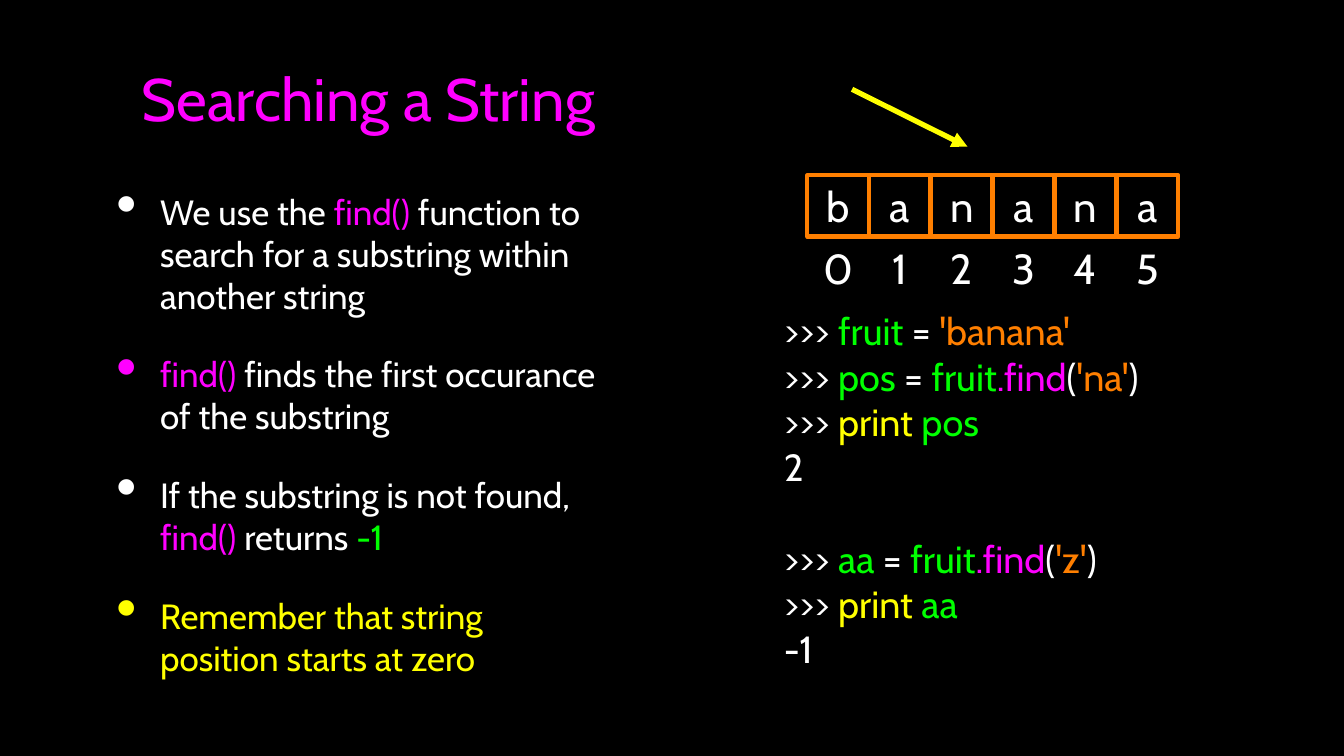
"""Builds a slide on searching a string with find()."""
from lxml.etree import SubElement
from pptx import Presentation
from pptx.dml.color import RGBColor
from pptx.enum.shapes import MSO_CONNECTOR as Connector, MSO_SHAPE as Shape
from pptx.enum.text import MSO_ANCHOR as Anchor, PP_ALIGN as Align
from pptx.oxml.ns import qn
from pptx.util import Cm, Pt

FONT = "Cabin"
COLORS = {
    "black": "000000",
    "white": "FFFFFF",
    "pink": "FF00FF",
    "green": "00FF00",
    "orange": "FF7F00",
    "yellow": "FFFF00",
}
WORD = "banana"
CELL_LEFT, CELL_TOP, CELL_SIZE, CELL_PITCH = 27.13, 5.89, 2.06, 2.08
CODE_LINE = 43.7

BULLETS = [
    [("We use the", "white"), (" find()", "pink"),
     (" function to search for a substring within another string", "white")],
    [("find()", "pink"), (" finds the first occurance of the substring", "white")],
    [("If the substring is not found, ", "white"), ("find()", "pink"),
     (" returns ", "white"), ("-1", "green")],
    [("Remember that string position starts at zero", "yellow")],
]
PROMPT = (">>> ", "white")
FIRST_SEARCH = [
    [PROMPT, ("fruit ", "green"), ("=", "white"), (" 'banana'", "orange")],
    [PROMPT, ("pos ", "green"), ("=", "white"), (" fruit", "green"), (".find", "pink"),
     ("(", "white"), ("'na'", "orange"), (")", "white")],
    [PROMPT, ("print ", "yellow"), ("pos", "green")],
    [("2", "white")],
]
SECOND_SEARCH = [
    [PROMPT, ("aa ", "green"), ("= ", "white"), ("fruit", "green"), (".find", "pink"),
     ("(", "white"), ("'z'", "orange"), (")", "white")],
    [PROMPT, ("print ", "yellow"), ("aa", "green")],
    [("-1", "white")],
]


def color(name):
    """Return the named colour."""
    return RGBColor.from_string(COLORS[name])


def add_spans(para, spans, size):
    """Add coloured runs to a paragraph."""
    for text, name in spans:
        span = para.add_run()
        span.text = text
        span.font.name = FONT
        span.font.size = Pt(size)
        span.font.color.rgb = color(name)


def fill_frame(frame, lines, size, align=Align.LEFT, inset=0):
    """Write lines of runs into a vertically centred text frame."""
    frame.word_wrap = True
    frame.vertical_anchor = Anchor.MIDDLE
    frame.margin_left = frame.margin_right = Cm(inset)
    frame.margin_top = frame.margin_bottom = Cm(inset)
    for index, spans in enumerate(lines):
        para = frame.add_paragraph() if index else frame.paragraphs[0]
        para.alignment = align
        add_spans(para, spans, size)


def add_text(page, area, lines, size, **layout):
    """Add a text box and return its frame."""
    box = page.shapes.add_textbox(*map(Cm, area))
    fill_frame(box.text_frame, lines, size, **layout)
    return box.text_frame


def add_bullet(para, name):
    """Give a paragraph a large hanging bullet in the named colour."""
    props = para._p.get_or_add_pPr()
    props.set("marL", str(Cm(2.08)))
    props.set("indent", str(Cm(-1.47)))
    SubElement(SubElement(props, qn("a:buClr")), qn("a:srgbClr"), val=COLORS[name])
    SubElement(props, qn("a:buSzPct"), val="171000")
    SubElement(props, qn("a:buChar"), char="•")


def add_bullets(page):
    """Add the explanation as a bullet list."""
    frame = add_text(page, (3.2, 5.77, 17.12, 17.63), BULLETS, 33.3, inset=0.1)
    for index, (para, spans) in enumerate(zip(frame.paragraphs, BULLETS)):
        add_bullet(para, spans[0][1])
        if index:
            para.space_before = Pt(35)


def add_code(page):
    """Add the two interpreter sessions, one line apart."""
    frame = add_text(page, (26.34, 10.36, 14.1, 12.19), FIRST_SEARCH + SECOND_SEARCH, 36)
    frame.paragraphs[len(FIRST_SEARCH)].space_before = Pt(CODE_LINE)


def add_letter(page, index, letter):
    """Add a letter cell with its position below."""
    left = CELL_LEFT + index * CELL_PITCH
    add_text(page, (left, CELL_TOP + CELL_SIZE, CELL_SIZE, CELL_SIZE),
             [[(str(index), "white")]], 40, align=Align.CENTER)
    cell = page.shapes.add_shape(
        Shape.RECTANGLE, *map(Cm, (left, CELL_TOP, CELL_SIZE, CELL_SIZE)))
    cell.shadow.inherit = False
    cell.fill.background()
    cell.line.color.rgb = color("orange")
    cell.line.width = Pt(4)
    fill_frame(cell.text_frame, [[(letter, "white")]], 40, align=Align.CENTER)


def add_arrow(page, start, end):
    """Add a yellow arrow with its head at the end point."""
    arrow = page.shapes.add_connector(Connector.STRAIGHT, *map(Cm, start + end))
    arrow.line.color.rgb = color("yellow")
    arrow.line.width = Pt(5)
    SubElement(arrow.line._get_or_add_ln(), qn("a:tailEnd"), type="triangle")
    SubElement(arrow._element.spPr, qn("a:effectLst"))


def main():
    """Build and save the deck."""
    deck = Presentation()
    deck.slide_width, deck.slide_height = Cm(45.16), Cm(25.4)
    page = deck.slides.add_slide(deck.slide_layouts[6])
    page.background.fill.solid()
    page.background.fill.fore_color.rgb = color("black")
    add_text(page, (3.81, 0.66, 17.12, 5.26), [[("Searching a String", "pink")]], 57,
             align=Align.CENTER, inset=0.1)
    add_bullets(page)
    add_code(page)
    add_arrow(page, (28.63, 3), (32.51, 4.93))
    for index, letter in enumerate(WORD):
        add_letter(page, index, letter)
    deck.save("out.pptx")


if __name__ == "__main__":
    main()
